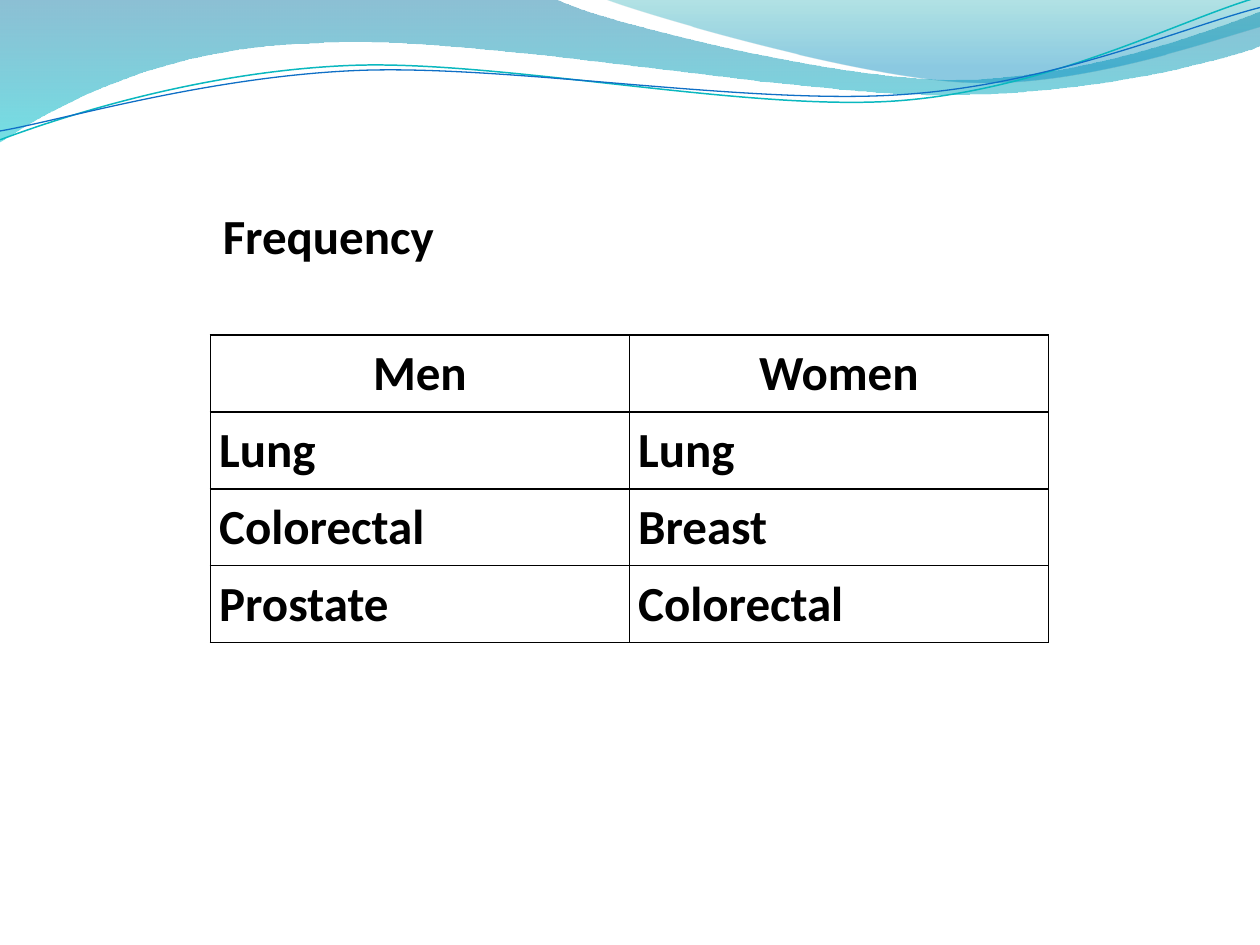
import math

import pptx
import pptx.dml.color
import pptx.enum.text
import pptx.oxml
import pptx.oxml.ns
import pptx.util

Inches, Pt = pptx.util.Inches, pptx.util.Pt
qn = pptx.oxml.ns.qn
COLORS = {
    "text": "000000", "border": "000000",
    "wave_top": "0074A1", "wave_bottom": "00C6CF",
    "crest_top": "00A1A9", "crest_bottom": "008BBF",
    "teal_line": "0AB8BF", "blue_line": "0F6FC6",
}
ALIGN = pptx.enum.text.PP_ALIGN
ANCHOR = pptx.enum.text.MSO_ANCHOR


def rgb(name):
    return pptx.dml.color.RGBColor.from_string(COLORS[name])


def write_text(frame, text, font="Calibri", size=28, bold=True, color="text",
               align=ALIGN.LEFT, spacing=None):
    paragraph = frame.paragraphs[0]
    paragraph.alignment = align
    paragraph.line_spacing = spacing
    run = paragraph.add_run()
    run.text = text
    run.font.name, run.font.size, run.font.bold = font, Pt(size), bold
    run.font.color.rgb = rgb(color)


def turn(points, degrees, center):
    """Rotate points clockwise around a center."""
    cos, sin = math.cos(math.radians(degrees)), math.sin(math.radians(degrees))
    cx, cy = center
    return [(cx + (x - cx) * cos - (y - cy) * sin,
             cy + (x - cx) * sin + (y - cy) * cos) for x, y in points]


class SlideBuilder:
    def __init__(self, slide, border_width=1, line_tilt=2.7):
        self.slide = slide
        self.border_width = border_width
        self.line_tilt = line_tilt

    def outline(self, pieces, close):
        """Pieces are lists of points: one for a straight step, three for a Bezier."""
        emu = [[(Inches(x), Inches(y)) for x, y in piece] for piece in pieces]
        (start,), *steps = emu
        builder = self.slide.shapes.build_freeform(*start)
        builder.add_line_segments([step[-1] for step in steps], close=close)
        shape = builder.convert_to_shape()
        shape.shadow.inherit = False
        # Turn the three-point steps into Bezier segments
        for line, step in zip(list(shape.element.iter(qn("a:lnTo"))), steps):
            if len(step) == 3:
                points = "".join(f'<a:pt x="{x - shape.left}" y="{y - shape.top}"/>'
                                 for x, y in step)
                line.getparent().replace(line, pptx.oxml.parse_xml(
                    f'<a:cubicBezTo {pptx.oxml.ns.nsdecls("a")}>{points}</a:cubicBezTo>'))
        return shape

    def band(self, pieces, stops):
        """Closed area with a top-to-bottom gradient of (position, colour, opacity)."""
        shape = self.outline(pieces, close=True)
        shape.line.fill.background()
        shape.fill.gradient()
        shape.fill.gradient_angle = 270
        for stop, (position, color, _) in zip(shape.fill.gradient_stops, stops):
            stop.position = position
            stop.color.rgb = rgb(color)
        for element, (_, _, opacity) in zip(shape.element.spPr.iter(qn("a:srgbClr")), stops):
            element.append(element.makeelement(qn("a:alpha"), {"val": str(opacity * 1000)}))

    def curve(self, pieces, center, color, width):
        """Open line, drawn level and then tilted around its center."""
        level = [turn(piece, self.line_tilt, center) for piece in pieces]
        shape = self.outline(level, close=False)
        shape.rotation = 360 - self.line_tilt
        shape.fill.background()
        shape.line.color.rgb = rgb(color)
        shape.line.width = Pt(width)

    def text(self, text, left, top, width, height):
        box = self.slide.shapes.add_textbox(
            Inches(left), Inches(top), Inches(width), Inches(height))
        box.text_frame.word_wrap = True
        box.text_frame.auto_size = pptx.enum.text.MSO_AUTO_SIZE.SHAPE_TO_FIT_TEXT
        box.text_frame.vertical_anchor = ANCHOR.MIDDLE
        write_text(box.text_frame, text)

    def border(self, cell):
        properties = cell._tc.get_or_add_tcPr()
        for side in ("lnL", "lnR", "lnT", "lnB"):
            properties.append(pptx.oxml.parse_xml(
                f'<a:{side} {pptx.oxml.ns.nsdecls("a")} w="{Pt(self.border_width)}">'
                f'<a:solidFill><a:srgbClr val="{COLORS["border"]}"/></a:solidFill>'
                f'</a:{side}>'))

    def table(self, rows, left, top, width, height):
        table = self.slide.shapes.add_table(
            len(rows), len(rows[0]), Inches(left), Inches(top),
            Inches(width), Inches(height)).table
        table.first_row = table.horz_banding = False
        for r, row in enumerate(rows):
            for c, label in enumerate(row):
                cell = table.cell(r, c)
                self.border(cell)
                cell.fill.background()
                cell.margin_left = cell.margin_right = Inches(0.07)
                cell.margin_top = cell.margin_bottom = 0
                write_text(cell.text_frame, label, spacing=1.15,
                           align=ALIGN.LEFT if r else ALIGN.CENTER)


def main():
    deck = pptx.Presentation()
    deck.slide_width, deck.slide_height = Inches(10), Inches(7.5)
    builder = SlideBuilder(deck.slides.add_slide(deck.slide_layouts[6]))

    # Wave bands along the top
    wave = [[(0, 0)], [(4.4, -0.01)],
            [(4.76, 0.17), (6.64, 0.63), (7.58, 0.63)],
            [(8.53, 0.63), (9.58, 0.26), (10, 0.09)], [(10.01, 0.36)],
            [(9.83, 0.44), (8.7, 0.76), (7.46, 0.75)],
            [(6.22, 0.75), (3.82, 0.28), (2.57, 0.34)],
            [(1.29, 0.36), (0.46, 0.83), (-0.01, 1.13)]]
    builder.band(wave, [(0, "wave_top", 45), (1, "wave_bottom", 55)])
    crest = [[(4.79, -0.01)], [(5.09, 0.11), (6.82, 0.62), (7.69, 0.65)],
             [(8.56, 0.69), (9.61, 0.32), (10, 0.21)], [(10, 0)]]
    builder.band(crest, [(0, "crest_top", 30), (0.8, "crest_bottom", 45)])

    # Thin lines over the waves
    teal = [[(0, 1.11)], [(0.48, 0.93), (1.58, 0.57), (2.77, 0.52)],
            [(3.95, 0.47), (5.93, 0.89), (7.13, 0.8)],
            [(8.33, 0.71), (9.38, 0.15), (9.98, -0.02)]]
    builder.curve(teal, (4.99, 0.58), "teal_line", 0.85)
    blue = [[(0, 1.04)], [(0.47, 0.96), (1.64, 0.61), (2.83, 0.56)],
            [(4.03, 0.51), (5.97, 0.84), (7.17, 0.75)],
            [(8.36, 0.67), (9.41, 0.21), (10, 0.06)]]
    builder.curve(blue, (5, 0.59), "blue_line", 0.75)

    # Frequency table and its heading
    frequency = [("Men", "Women"), ("Lung", "Lung"),
                 ("Colorectal", "Breast"), ("Prostate", "Colorectal")]
    builder.table(frequency, 1.67, 2.66, 6.65, 2.44)
    builder.text("Frequency", 1.67, 1.58, 6.83, 0.57)

    deck.save("out.pptx")


if __name__ == "__main__":
    main()
